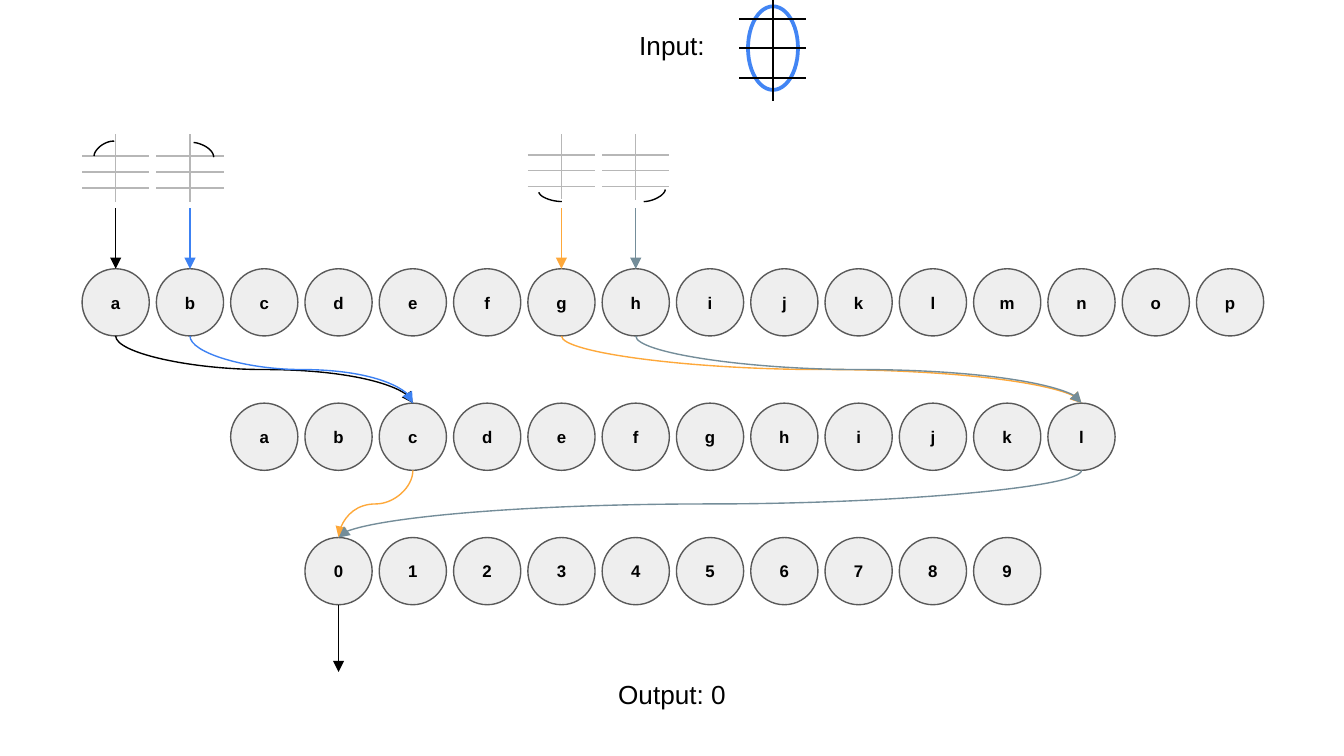
from pptx import Presentation
from pptx.dml.color import RGBColor
from pptx.enum.shapes import MSO_CONNECTOR, MSO_SHAPE
from pptx.enum.text import MSO_ANCHOR, MSO_AUTO_SIZE, PP_ALIGN
from pptx.oxml.ns import qn
from pptx.util import Pt
from lxml import etree

STRAIGHT, CURVE = MSO_CONNECTOR.STRAIGHT, MSO_CONNECTOR.CURVE
OVAL = MSO_SHAPE.OVAL
MIDDLE, TOP = MSO_ANCHOR.MIDDLE, MSO_ANCHOR.TOP
CENTER = PP_ALIGN.CENTER
FIT_SHAPE = MSO_AUTO_SIZE.SHAPE_TO_FIT_TEXT

BLACK = RGBColor(0x00, 0x00, 0x00)
WHITE = RGBColor(0xFF, 0xFF, 0xFF)
NODE_FILL = RGBColor(0xEE, 0xEE, 0xEE)
NODE_EDGE = RGBColor(0x59, 0x59, 0x59)
GRID = RGBColor(0xB7, 0xB7, 0xB7)
DIGIT_BLUE = RGBColor(0x42, 0x85, 0xF4)
BLUE = RGBColor(0x3C, 0x81, 0xF3)
ORANGE = RGBColor(0xFE, 0xA8, 0x3A)
SLATE = RGBColor(0x74, 0x8D, 0x99)

FONT = "Arial"
NODE = 36
PITCH = 39.8
FIRST_CENTER = 62
LAYER_TOPS = (144, 216, 288)
LAYERS = (("abcdefghijklmnop", 0), ("abcdefghijkl", 2), ("0123456789", 3))

# Each edge: source layer, source column, target column, colour.
EDGES = (
    (0, 0, 4, BLACK), (0, 1, 4, BLUE), (0, 6, 13, ORANGE), (0, 7, 13, SLATE),
    (1, 4, 3, ORANGE), (1, 13, 3, SLATE),
)
# Each feature: column, arrow colour, grid rows, grid bottom, stroke as offsets from the column centre.
FEATURES = (
    (0, BLACK, (83.6, 92.1, 100.7), 108,
     ((-0.8, 75.6), (-6.6, 75.6), (-11.6, 80.6), (-11.6, 83.6))),
    (1, BLUE, (83.6, 92.1, 100.7), 108,
     ((1.9, 76.3), (7.6, 77), (12.7, 80.6), (12.7, 84.2))),
    (6, ORANGE, (83.1, 91.3, 99.8), 106.8,
     ((-12.1, 103), (-11.4, 105.8), (-4.9, 108), (0.2, 108))),
    (7, SLATE, (83.1, 91.3, 99.8), 107.2,
     ((4.3, 108), (9.3, 108), (15.8, 104.4), (15.8, 101.5))),
)


def center_of(column):
    """Return the horizontal centre of a grid column."""
    return FIRST_CENTER + PITCH * column


def add_line(shapes, start, end, color, weight=0.75, arrow=False, kind=STRAIGHT):
    """Add a connector between two points, with an optional arrowhead."""
    line = shapes.add_connector(kind, *map(Pt, (*start, *end)))
    line.line.color.rgb = color
    line.line.width = Pt(weight)
    if arrow:
        etree.SubElement(line.line._get_or_add_ln(), qn("a:tailEnd"), type="triangle")
    etree.SubElement(line._element.spPr, qn("a:effectLst"))
    return line


def add_edge(shapes, start, end, color):
    """Add a curved arrow that leaves and arrives vertically."""
    (x1, y1), (x2, y2) = start, end
    edge = add_line(shapes, start, end, color, arrow=True, kind=CURVE)
    drop, run = y2 - y1, abs(x2 - x1)
    xfrm = edge._element.spPr.find(qn("a:xfrm"))
    xfrm.attrib.pop("flipH", None)
    if x2 > x1:
        xfrm.set("flipH", "1")
    xfrm.set("rot", str((270 if x2 > x1 else 90) * 60000))
    edge.left, edge.top = Pt((x1 + x2 - drop) / 2), Pt((y1 + y2 - run) / 2)
    edge.width, edge.height = Pt(drop), Pt(run)


def add_oval(shapes, left, top, width, height, fill, edge, weight):
    """Add a filled and outlined oval."""
    oval = shapes.add_shape(OVAL, *map(Pt, (left, top, width, height)))
    oval.shadow.inherit = False
    oval.fill.solid()
    oval.fill.fore_color.rgb = fill
    oval.line.color.rgb = edge
    oval.line.width = Pt(weight)
    return oval


def write(frame, text, size, anchor, bold=False):
    """Write one centred paragraph in a text frame."""
    frame.word_wrap = True
    frame.vertical_anchor = anchor
    paragraph = frame.paragraphs[0]
    paragraph.text = text
    paragraph.alignment = CENTER
    font = paragraph.font
    font.name, font.size, font.bold = FONT, Pt(size), bold
    font.color.rgb = BLACK


def add_node(shapes, label, column, top):
    """Add one labelled neuron."""
    node = add_oval(shapes, center_of(column) - NODE / 2, top, NODE, NODE,
                    NODE_FILL, NODE_EDGE, 0.75)
    frame = node.text_frame
    frame.margin_left = frame.margin_right = Pt(7.2)
    frame.margin_top = frame.margin_bottom = Pt(7.2)
    write(frame, label, 9, MIDDLE, bold=True)


def add_caption(shapes, text, top, width):
    """Add a caption centred on the slide."""
    caption = shapes.add_textbox(Pt(360 - width / 2), Pt(top), Pt(width), Pt(24.5))
    caption.text_frame.auto_size = FIT_SHAPE
    write(caption.text_frame, text, 14, TOP)


def add_grid(shapes, center, top, bottom, rows, color, weight):
    """Add a vertical axis crossed by horizontal lines."""
    add_line(shapes, (center, top), (center, bottom), color, weight)
    for row in rows:
        add_line(shapes, (center - 18, row), (center + 18, row), color, weight)


def add_stroke(shapes, controls, steps=16):
    """Add an open stroke along a cubic curve."""
    points = []
    for step in range(steps + 1):
        t = step / steps
        weights = ((1 - t) ** 3, 3 * t * (1 - t) ** 2, 3 * t * t * (1 - t), t ** 3)
        points.append(tuple(Pt(sum(w * c for w, c in zip(weights, axis)))
                            for axis in zip(*controls)))
    builder = shapes.build_freeform(*points[0])
    builder.add_line_segments(points[1:], close=False)
    stroke = builder.convert_to_shape()
    stroke.shadow.inherit = False
    stroke.fill.background()
    stroke.line.color.rgb = BLACK
    stroke.line.width = Pt(0.75)


def add_feature(shapes, column, color, rows, bottom, stroke):
    """Add a stroke detector on its grid and the arrow to its neuron."""
    center = center_of(column)
    detector = shapes.add_group_shape().shapes
    add_grid(detector, center, 72, bottom, rows, GRID, 0.75)
    add_stroke(detector, [(center + x, y) for x, y in stroke])
    add_line(shapes, (center, 111.6), (center, LAYER_TOPS[0]), color, arrow=True)


def add_input_digit(shapes):
    """Add the input zero with its dividing grid."""
    digit = shapes.add_group_shape().shapes
    add_oval(digit, 400.7, 3.4, 26.8, 44.8, WHITE, DIGIT_BLUE, 2)
    add_grid(digit, 414, 0, 54, (10.1, 25.7, 41.7), BLACK, 1)


def main():
    """Build the network slide."""
    deck = Presentation()
    deck.slide_width, deck.slide_height = Pt(720), Pt(405)
    shapes = deck.slides.add_slide(deck.slide_layouts[6]).shapes
    for (labels, first_column), top in zip(LAYERS, LAYER_TOPS):
        for column, label in enumerate(labels, first_column):
            add_node(shapes, label, column, top)
    for layer, source, target, color in EDGES:
        add_edge(shapes, (center_of(source), LAYER_TOPS[layer] + NODE),
                 (center_of(target), LAYER_TOPS[layer + 1]), color)
    add_caption(shapes, "Input:", 12.2, 152.6)
    add_caption(shapes, "Output: 0", 360, 185.8)
    add_input_digit(shapes)
    for feature in FEATURES:
        add_feature(shapes, *feature)
    output = center_of(3)
    add_line(shapes, (output, LAYER_TOPS[2] + NODE), (output, 360), BLACK, arrow=True)
    deck.save("out.pptx")


if __name__ == "__main__":
    main()
